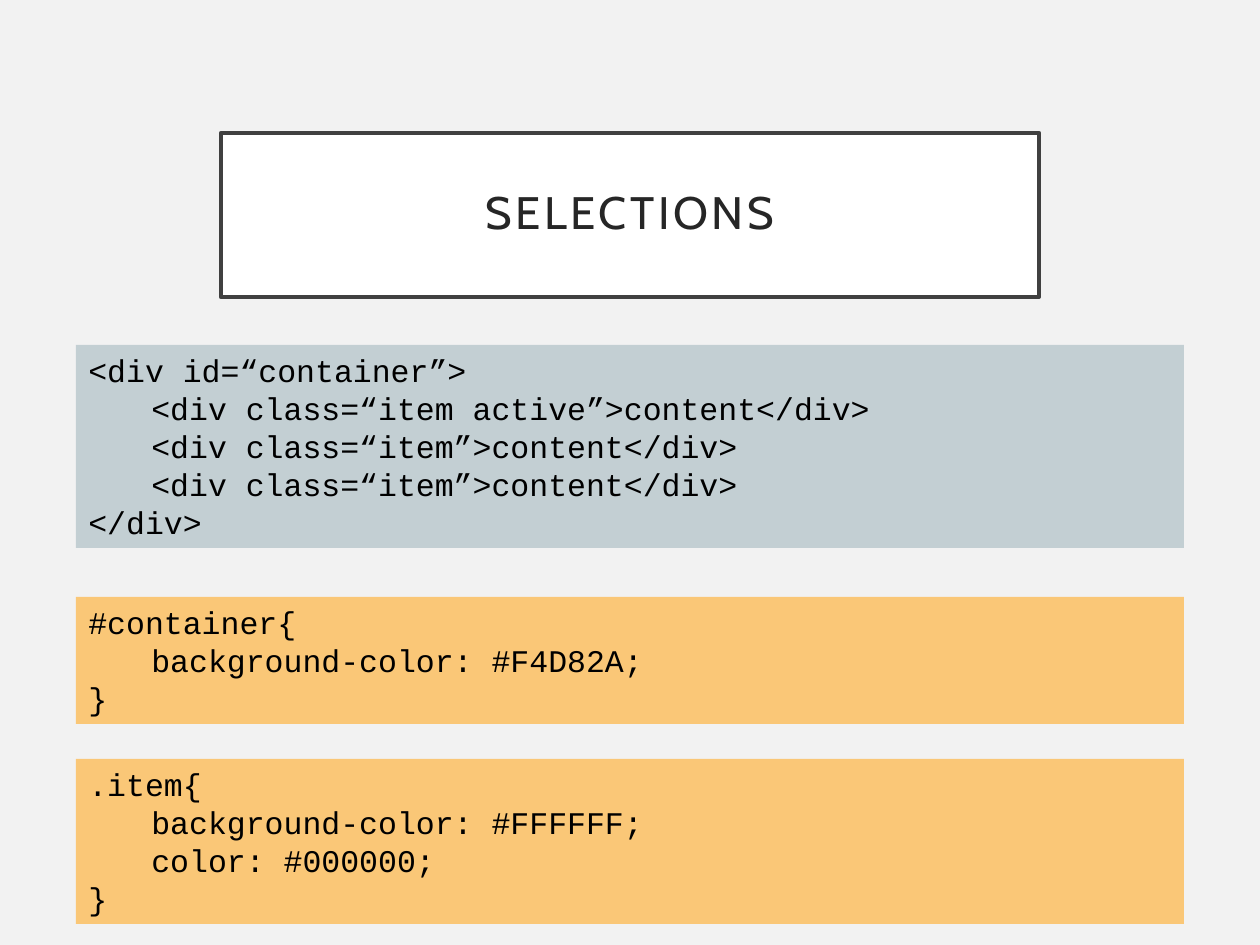
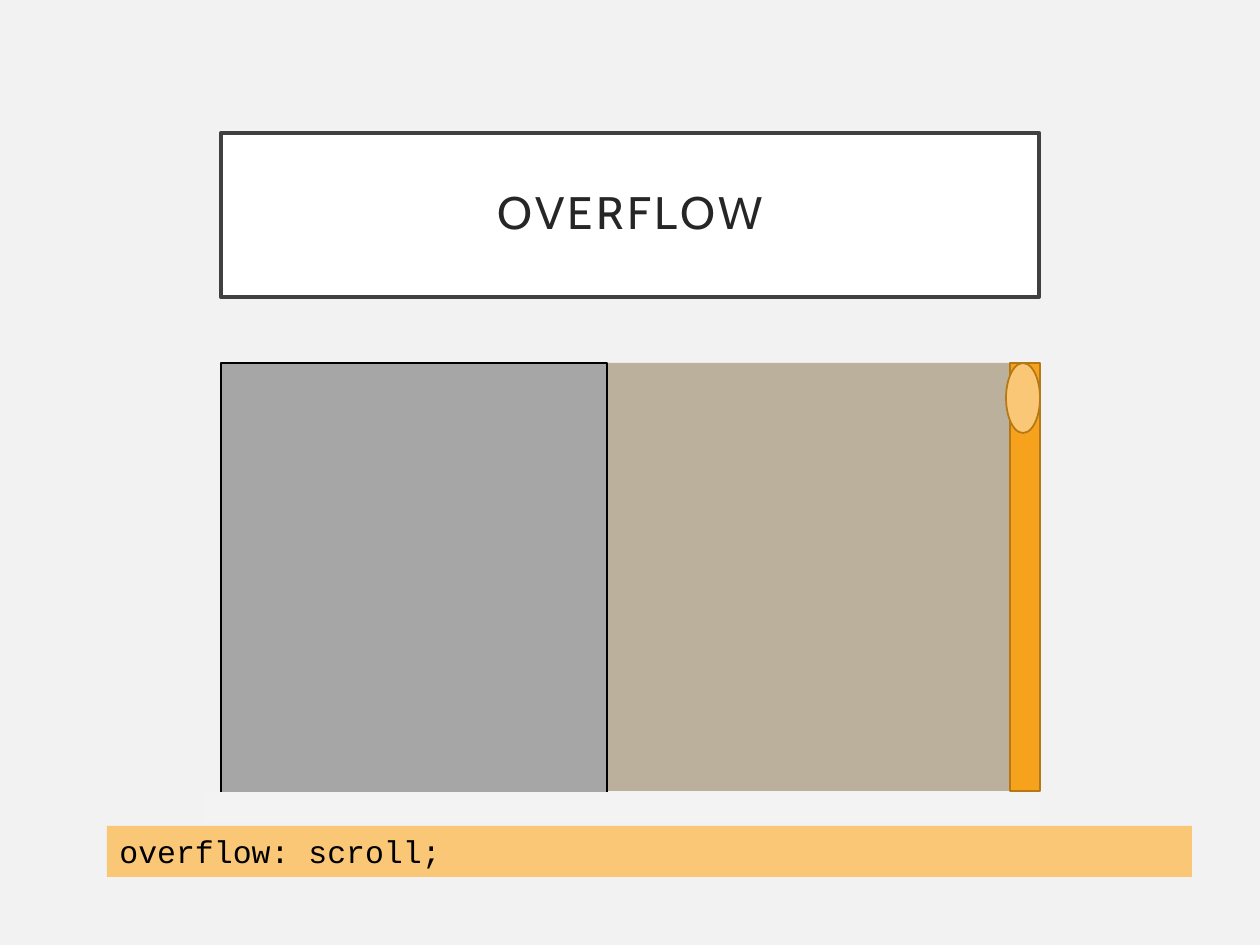
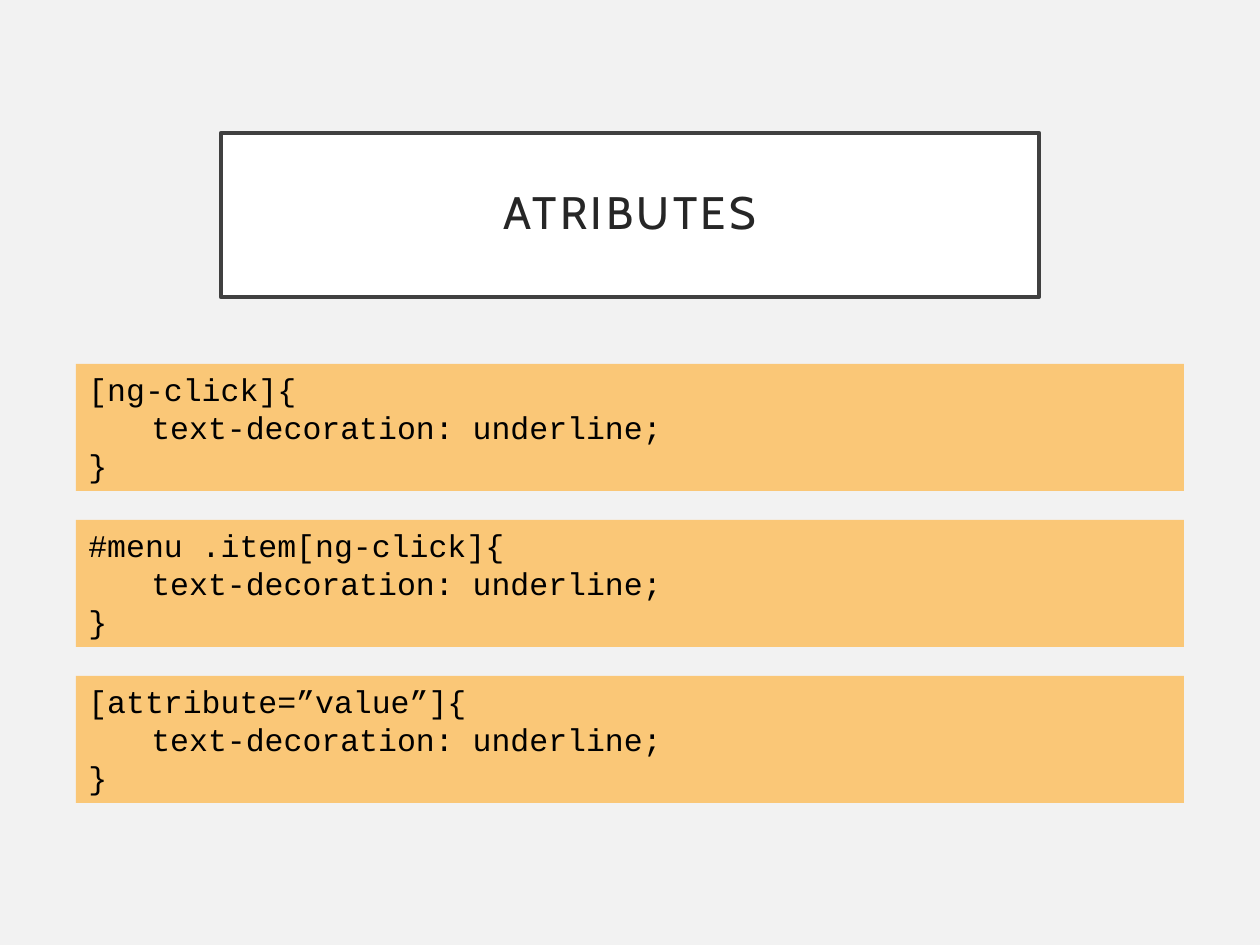
from dataclasses import dataclass

from pptx import Presentation, util as u
from pptx.dml import color as clr
from pptx.enum import shapes, text as txt

SCALE = 914400 / 126  # EMU in one px


@dataclass(frozen=True)
class Theme:
    back: str = "F2F2F2"
    white: str = "FFFFFF"
    frame: str = "404040"
    head: str = "262626"
    ink: str = "000000"
    html: str = "C3CFD3"
    css: str = "FAC777"
    sand: str = "BAB09B"
    gray: str = "A6A6A6"
    mask: str = "F3F3F3"
    track: str = "F6A21D"
    edge: str = "B67815"
    title_font: str = "Cabin"
    code_font: str = "Courier New"
    title_size: int = 26
    code_size: int = 18
    code_line: float = 21.7


T = Theme()
RECT = shapes.MSO_SHAPE.RECTANGLE
OVAL = shapes.MSO_SHAPE.OVAL
LEFT, WIDE = 76, 1108  # column of the code boxes
RULE = "{}{{\n\ttext-decoration: underline;\n}}"


def px(n):
    return u.Emu(round(n * SCALE))


def rgb(code):
    return clr.RGBColor.from_string(code)


# Text: one paragraph per line, a leading tab indents it
def write(frame, words, *, font, size, color, align, space, anchor,
          fit, track=0, inset=None):
    frame.word_wrap = True
    frame.auto_size = fit
    frame.vertical_anchor = anchor
    if inset is not None:
        frame.margin_left = frame.margin_right = px(inset)
        frame.margin_top = frame.margin_bottom = px(inset)
    for i, line in enumerate(words.split("\n")):
        para = frame.add_paragraph() if i else frame.paragraphs[0]
        para.alignment = align
        para.line_spacing = space
        if line.startswith("\t"):
            para._p.get_or_add_pPr().set("marL", str(px(63)))
        run = para.add_run()
        run.text = line.lstrip("\t")
        run.font.name = font
        run.font.size = u.Pt(size)
        run.font.color.rgb = rgb(color)
        if track:
            run._r.get_or_add_rPr().set("spc", str(track * 100))


def paint(shape, fill, line=None, width=1):
    shape.fill.solid()
    shape.fill.fore_color.rgb = rgb(fill)
    if line:
        shape.line.color.rgb = rgb(line)
        shape.line.width = u.Pt(width)
    else:
        shape.line.fill.background()


def block(slide, x, y, w, h, fill, line=None, width=1, kind=RECT):
    shape = slide.shapes.add_shape(kind, px(x), px(y), px(w), px(h))
    shape.shadow.inherit = False
    paint(shape, fill, line, width)
    return shape


# Code box, as high as its lines
def code(slide, y, words, fill=T.css, x=LEFT, w=WIDE):
    h = 13 + 38 * len(words.split("\n"))
    write(block(slide, x, y, w, h, fill).text_frame, words,
          font=T.code_font, size=T.code_size, color=T.ink,
          align=txt.PP_ALIGN.LEFT, space=u.Pt(T.code_line),
          anchor=txt.MSO_ANCHOR.TOP,
          fit=txt.MSO_AUTO_SIZE.SHAPE_TO_FIT_TEXT)


# Slide with its framed title
def page(prs, name):
    slide = prs.slides.add_slide(prs.slide_layouts[5])
    title = slide.shapes.title
    title.left, title.top = px(221), px(133)
    title.width, title.height = px(818), px(164)
    paint(title, T.white, T.frame, 2.5)
    write(title.text_frame, name, font=T.title_font, size=T.title_size,
          color=T.head, align=txt.PP_ALIGN.CENTER, space=0.9,
          anchor=txt.MSO_ANCHOR.MIDDLE, fit=txt.MSO_AUTO_SIZE.NONE,
          track=2, inset=25)
    return slide


def select(prs):
    slide = page(prs, "SELECTIONS")
    code(slide, 345, "<div id=“container”>\n"
         "\t<div class=“item active”>content</div>\n"
         "\t<div class=“item”>content</div>\n"
         "\t<div class=“item”>content</div>\n"
         "</div>", T.html)
    code(slide, 597, "#container{\n\tbackground-color: #F4D82A;\n}")
    code(slide, 759, ".item{\n\tbackground-color: #FFFFFF;\n"
         "\tcolor: #000000;\n}")


def scroll(prs):
    slide = page(prs, "OVERFLOW")
    top, high = 363, 428
    block(slide, 221, top, 818, high, T.sand)
    block(slide, 221, top, 386, 432, T.gray, T.ink, 0.75)
    code(slide, 826, "overflow: scroll;", x=107, w=1085)
    block(slide, 203, 792, 837, 30, T.mask)
    # Scroll bar and its handle
    block(slide, 1010, top, 30, high, T.track, T.edge)
    block(slide, 1006, top, 34, 70, T.css, T.edge, kind=OVAL)


def attrs(prs):
    slide = page(prs, "ATRIBUTES")
    names = "[ng-click]", "#menu .item[ng-click]", "[attribute=”value”]"
    for i, name in enumerate(names):
        code(slide, 364 + 156 * i, RULE.format(name))


def main():
    prs = Presentation()
    prs.slide_width, prs.slide_height = px(1260), px(945)
    fill = prs.slide_master.background.fill
    fill.solid()
    fill.fore_color.rgb = rgb(T.back)
    select(prs)
    scroll(prs)
    attrs(prs)
    prs.save("out.pptx")


if __name__ == "__main__":
    main()
